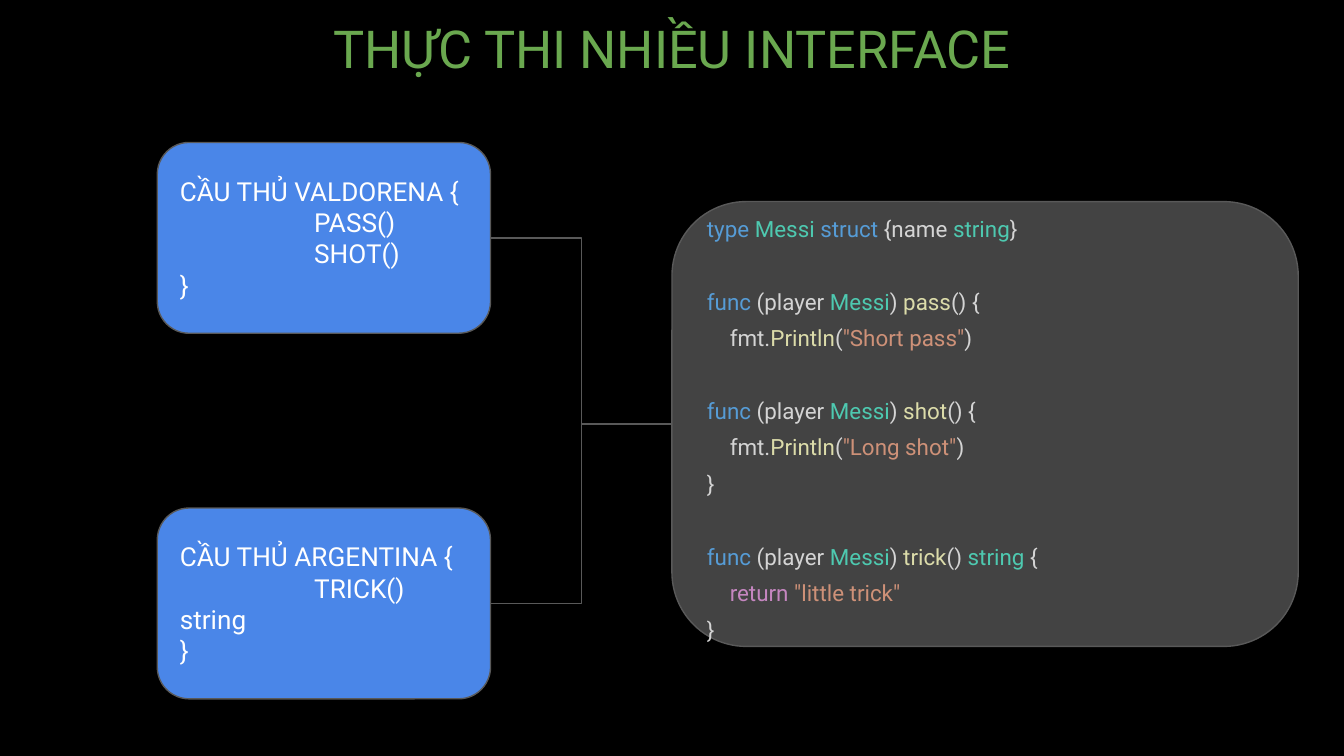
from dataclasses import dataclass

from lxml.etree import SubElement
from pptx import Presentation
from pptx.dml.color import RGBColor
from pptx.enum.shapes import MSO_CONNECTOR, MSO_SHAPE
from pptx.enum.text import MSO_ANCHOR, MSO_AUTO_SIZE, PP_ALIGN
from pptx.oxml.ns import qn
from pptx.util import Inches, Pt

BLACK = RGBColor(0x00, 0x00, 0x00)
WHITE = RGBColor(0xFF, 0xFF, 0xFF)
GREEN = RGBColor(0x6A, 0xA8, 0x4F)
BLUE = RGBColor(0x4A, 0x86, 0xE8)
PANEL = RGBColor(0x43, 0x43, 0x43)
OUTLINE = RGBColor(0x59, 0x59, 0x59)

# Syntax colours of the code
KEYWORD = RGBColor(0x56, 0x9C, 0xD6)
TYPE = RGBColor(0x4E, 0xC9, 0xB0)
PLAIN = RGBColor(0xD4, 0xD4, 0xD4)
FUNCTION = RGBColor(0xDC, 0xDC, 0xAA)
STRING = RGBColor(0xCE, 0x91, 0x78)
CONTROL = RGBColor(0xC5, 0x86, 0xC0)

FONT = "Roboto"
LINE_WIDTH = Pt(0.75)
TAB_STOP = Inches(1)
CODE_INDENT = Inches(0.17)
CODE_GAP = Pt(19.4)


@dataclass
class Line:
    runs: list[tuple[str, RGBColor]]
    indent: int = 0
    before: int = 0
    tab: int = 0


@dataclass
class Box:
    left: float
    top: float
    width: float
    height: float
    fill: RGBColor
    lines: list[Line]
    size: int
    spacing: float = 1.0


def write_text(frame, lines: list[Line], *, size: int, spacing: float = 1.0,
               align=PP_ALIGN.LEFT) -> None:
    frame.word_wrap = True
    frame.auto_size = MSO_AUTO_SIZE.NONE
    frame.vertical_anchor = MSO_ANCHOR.MIDDLE
    frame.margin_left = frame.margin_right = Inches(0.1)
    frame.margin_top = frame.margin_bottom = Inches(0.1)
    for index, line in enumerate(lines):
        paragraph = frame.add_paragraph() if index else frame.paragraphs[0]
        paragraph.alignment = align
        paragraph.line_spacing = spacing
        paragraph.space_before = line.before
        properties = paragraph._p.get_or_add_pPr()
        if line.indent:
            properties.set("marL", str(line.indent))
            properties.set("indent", "0")
        if line.tab:
            stops = SubElement(properties, qn("a:tabLst"))
            SubElement(stops, qn("a:tab"), pos=str(line.tab), algn="l")
        for text, color in line.runs:
            run = paragraph.add_run()
            run.text = text
            run.font.name = FONT
            run.font.size = Pt(size)
            run.font.color.rgb = color


def add_box(slide, box: Box):
    shape = slide.shapes.add_shape(
        MSO_SHAPE.ROUNDED_RECTANGLE, Inches(box.left), Inches(box.top),
        Inches(box.width), Inches(box.height))
    shape.adjustments[0] = 0.167
    shape.shadow.inherit = False
    shape.fill.solid()
    shape.fill.fore_color.rgb = box.fill
    shape.line.color.rgb = OUTLINE
    shape.line.width = LINE_WIDTH
    write_text(shape.text_frame, box.lines, size=box.size, spacing=box.spacing)
    return shape


def join(slide, source, target) -> None:
    elbow = slide.shapes.add_connector(MSO_CONNECTOR.ELBOW, 0, 0, 0, 0)
    elbow.begin_connect(source, 3)
    elbow.end_connect(target, 1)
    elbow.line.color.rgb = OUTLINE
    elbow.line.width = LINE_WIDTH
    SubElement(elbow._element.spPr, qn("a:effectLst"))


def interface_box(top: float, *texts: str) -> Box:
    lines = [Line([(text, WHITE)], tab=TAB_STOP) for text in texts]
    return Box(1.17, top, 2.48, 1.42, BLUE, lines, size=14)


def method_header(name: str, *result: tuple[str, RGBColor]) -> Line:
    return Line([("func", KEYWORD), (" (player ", PLAIN), ("Messi", TYPE),
                 (") ", PLAIN), (name, FUNCTION), ("() ", PLAIN),
                 *result, ("{", PLAIN)], before=CODE_GAP)


def print_call(message: str) -> Line:
    return Line([("fmt.", PLAIN), ("Println", FUNCTION), ("(", PLAIN),
                 (f'"{message}"', STRING), (")", PLAIN)], indent=CODE_INDENT)


def main() -> None:
    prs = Presentation()
    prs.slide_width = Inches(10)
    prs.slide_height = prs.slide_width * 9 // 16
    slide = prs.slides.add_slide(prs.slide_layouts[5])
    slide.background.fill.solid()
    slide.background.fill.fore_color.rgb = BLACK

    # Title
    title = slide.shapes.title
    title.left, title.top = Inches(0.34), Inches(0.09)
    title.width, title.height = Inches(9.32), Inches(0.53)
    write_text(title.text_frame, [Line([("THỰC THI NHIỀU INTERFACE", GREEN)])],
               size=28, align=PP_ALIGN.CENTER)

    # Interfaces
    interfaces = [
        interface_box(1.06, "CẦU THỦ VALDORENA {", "\tPASS()", "\tSHOT()", "}"),
        interface_box(3.78, "CẦU THỦ ARGENTINA {", "\tTRICK() string", "}"),
    ]
    interface_shapes = [add_box(slide, box) for box in interfaces]

    # Struct that implements both interfaces
    closing = Line([("}", PLAIN)])
    code = [
        Line([("type ", KEYWORD), ("Messi ", TYPE), ("struct", KEYWORD),
              (" {name ", PLAIN), ("string", TYPE), ("}", PLAIN)]),
        method_header("pass"),
        print_call("Short pass"),
        method_header("shot"),
        print_call("Long shot"),
        closing,
        method_header("trick", ("string", TYPE), (" ", PLAIN)),
        Line([("return ", CONTROL), ('"little trick"', STRING)],
             indent=CODE_INDENT),
        closing,
    ]
    struct_shape = add_box(
        slide, Box(5, 1.5, 4.66, 3.31, PANEL, code, size=12, spacing=1.36))

    # Connectors
    for interface_shape in interface_shapes:
        join(slide, interface_shape, struct_shape)

    prs.save("out.pptx")


if __name__ == "__main__":
    main()
